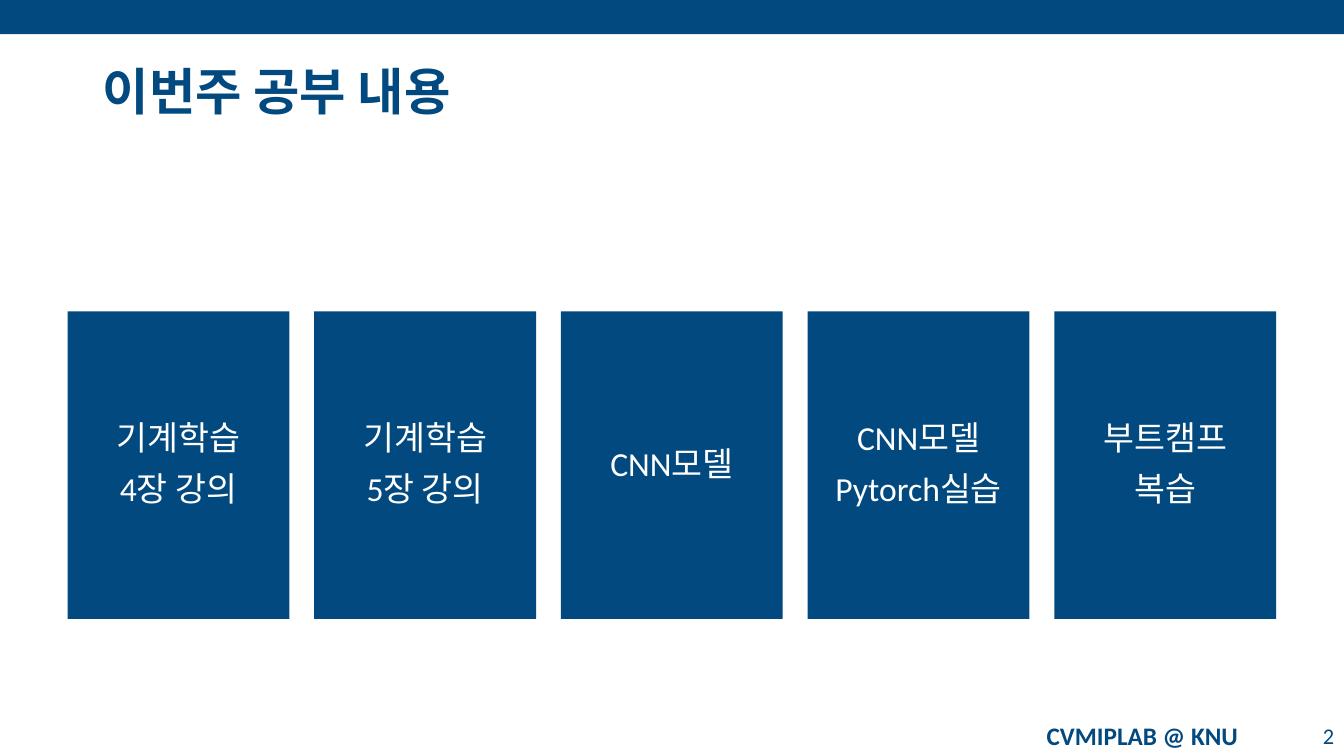
"""Build the weekly study overview slide."""
from pptx import Presentation
from pptx.dml.color import RGBColor
from pptx.enum.shapes import MSO_SHAPE
from pptx.enum.text import MSO_ANCHOR, PP_ALIGN
from pptx.util import Inches, Pt

RECT = MSO_SHAPE.RECTANGLE
MIDDLE = MSO_ANCHOR.MIDDLE
LEFT, CENTER, RIGHT = PP_ALIGN.LEFT, PP_ALIGN.CENTER, PP_ALIGN.RIGHT
NAVY, WHITE = "02497F", "FFFFFF"


def add_box(left, top, width, height):
    box = slide.shapes.add_shape(
        RECT, Inches(left), Inches(top), Inches(width), Inches(height))
    box.shadow.inherit = False
    box.fill.solid()
    box.fill.fore_color.rgb = RGBColor.from_string(NAVY)
    box.line.fill.background()
    return box


def set_text(shape, text, size, color, align, bold=False, face="Calibri"):
    frame = shape.text_frame
    frame.text = text
    frame.word_wrap = True
    frame.vertical_anchor = MIDDLE
    for par in frame.paragraphs:
        par.alignment = align
        par.font.name = face
        par.font.size = Pt(size)
        par.font.bold = bold
        par.font.color.rgb = RGBColor.from_string(color)


deck = Presentation()
deck.slide_width, deck.slide_height = Inches(13.33), Inches(7.5)
slide = deck.slides.add_slide(deck.slide_layouts[5])

add_box(0, 0, 13.33, 0.34)

title = slide.shapes.title
title.left, title.top = Inches(0.92), Inches(0.45)
title.width, title.height = Inches(11.5), Inches(0.96)
set_text(title, "이번주 공부 내용", 36, NAVY, LEFT, True, "Arial")
title.text_frame.paragraphs[0].line_spacing = 0.9

topics = ["기계학습\n4장 강의", "기계학습\n5장 강의", "CNN모델",
          "CNN모델\nPytorch실습", "부트캠프\n복습"]
for index, topic in enumerate(topics):
    card = add_box(0.67 + index * 2.447, 3.09, 2.2, 3.05)
    set_text(card, topic, 24, WHITE, CENTER)
    for row, par in enumerate(card.text_frame.paragraphs):
        par.line_spacing = 0.9
        if row:
            par.space_before = Pt(10)

footers = [("CVMIPLAB @ KNU", 9.93, 2.8, 18, CENTER, True),
           ("2", 12.73, 0.6, 16, RIGHT, False)]
for text, left, width, size, align, bold in footers:
    footer = slide.shapes.add_textbox(
        Inches(left), Inches(7.1), Inches(width), Inches(0.4))
    set_text(footer, text, size, NAVY, align, bold)

deck.save("out.pptx")
